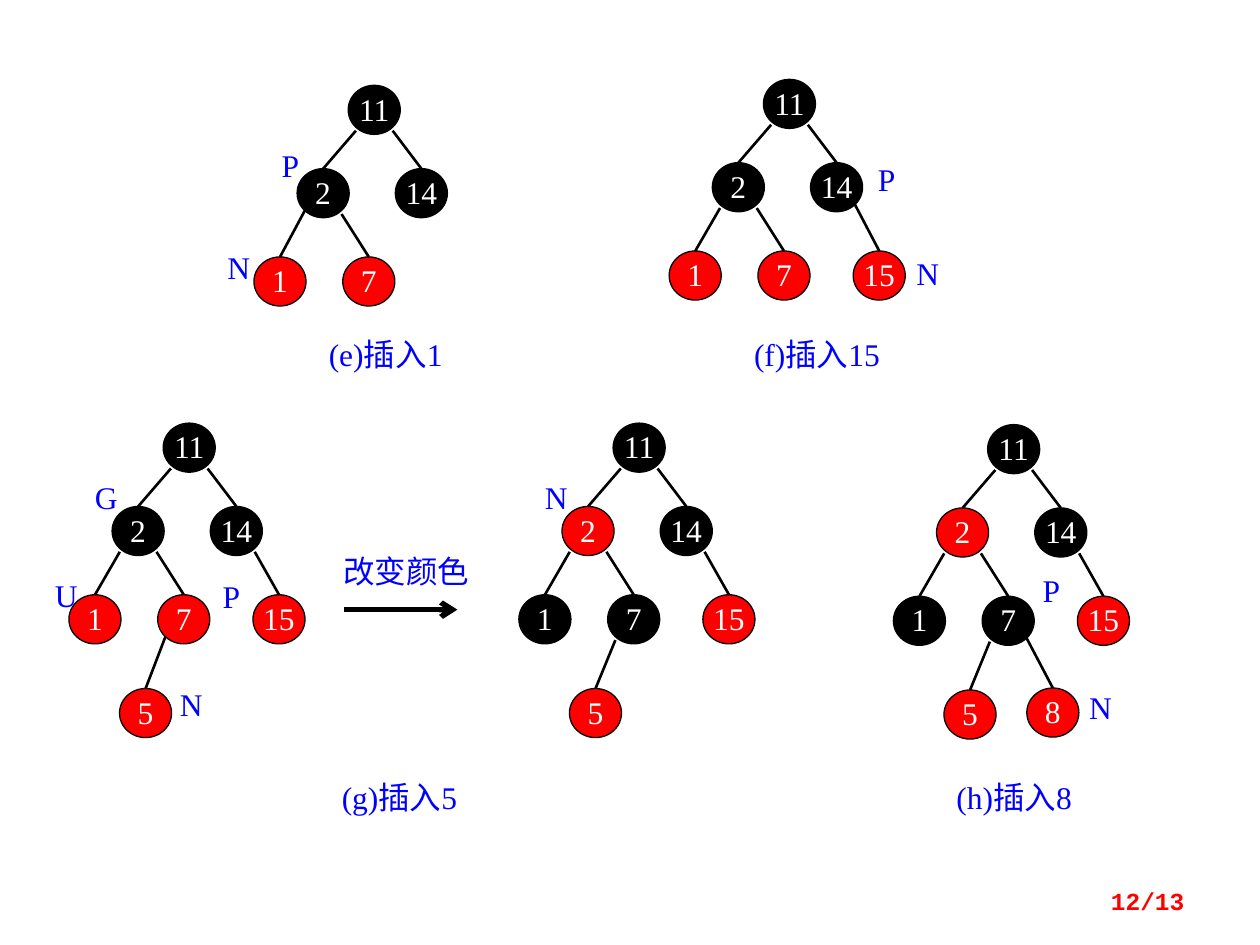
from pptx import Presentation
from pptx import util as u
from pptx.dml.color import RGBColor
from pptx.enum import shapes, text
from pptx.oxml import parse_xml
from pptx.oxml.ns import nsdecls

Cm, Pt = u.Cm, u.Pt

THEME = {
    "black": "000000", "red": "FF0000", "white": "FFFFFF", "blue": "0000FF",
    "face": "Times New Roman", "mono": "Courier New",
    "size": 18, "small": 14, "lead": 20,
    "rim": 0.75, "edge": 1.5, "arrow": 3,
}

# Places and sizes are in centimetres.
NODE_W, NODE_H = 1.05, 0.99
FOOT_X, FOOT_Y = 0.37, 0.42   # where an edge leaves its parent, from the centre
LIFT = 0.07                   # the edge to the new node leaves this much higher

# key: (parent, left and top from the root's corner)
SPOTS = {
    11: (None, 0, 0),
    14: (11, 0.95, 1.68),
    2: (11, -1.03, 1.68),
    7: (2, -0.11, 3.46),
    1: (2, -1.9, 3.46),
    15: (14, 1.81, 3.46),
    5: (7, -0.88, 5.35),
    8: (7, 0.79, 5.31),
}

# root's left and top, keys, red keys, newly inserted key
TREES = [
    (7.02, 1.72, [11, 14, 2, 7, 1], {7, 1}, 1),
    (15.39, 1.6, [11, 14, 2, 7, 1, 15], {7, 1, 15}, 15),
    (3.29, 8.53, [11, 14, 2, 7, 1, 15, 5], {7, 1, 15, 5}, 5),
    (12.36, 8.53, [11, 14, 2, 7, 1, 15, 5], {2, 15, 5}, None),
    (19.91, 8.56, [11, 14, 2, 7, 1, 15, 5, 8], {2, 15, 5, 8}, 8),
]

# text, left, top, width
CAPTIONS = [
    ("(e)插入1", 6.53, 6.81, 2.49),
    ("(f)插入15", 14.88, 6.81, 3.18),
    ("(g)插入5", 6.81, 15.75, 2.49),
    ("(h)插入8", 19.2, 15.75, 2.49),
    ("改变颜色", 6.86, 11.18, 2.67),
]
MARK_W, LINE_H = 0.69, 0.71
MARKS = [
    ("P", 5.51, 3), ("N", 4.47, 5.05),
    ("P", 17.53, 3.28), ("N", 18.36, 5.18),
    ("G", 1.8, 9.7), ("U", 0.99, 11.66), ("P", 4.32, 11.68), ("N", 3.51, 13.87),
    ("N", 10.87, 9.7),
    ("P", 20.85, 11.56), ("N", 21.84, 13.92),
]
ARROW = (6.93, 12.29, 9.22, 12.29)
PAGE = ("12/13", 18.21, 17.65, 5.92, 1.02)


def tint(name):
    return RGBColor.from_string(THEME[name])


def apply(obj, vals):
    for key, val in vals.items():
        setattr(obj, key, val)


def write(shape, words, hue, frame, para, font):
    body = shape.text_frame
    apply(body, {"word_wrap": True, **frame})
    line = body.paragraphs[0]
    apply(line, para)
    run = line.add_run()
    run.text = words
    apply(run.font, font)
    run.font.color.rgb = tint(hue)


FLUSH = {"margin_" + side: 0 for side in ("left", "top", "right", "bottom")}
MID = text.MSO_ANCHOR.MIDDLE
TOP = text.MSO_ANCHOR.TOP
CENTRED = {"alignment": text.PP_ALIGN.CENTER, "line_spacing": Pt(THEME["lead"])}
FONT = {"name": THEME["face"], "size": Pt(THEME["size"])}


def label(slide, words, x, y, w):
    box = slide.shapes.add_textbox(Cm(x), Cm(y), Cm(w), Cm(LINE_H))
    write(box, words, "blue", {**FLUSH, "vertical_anchor": TOP}, CENTRED, FONT)


def node(slide, key, x, y, hue):
    oval = slide.shapes.add_shape(
        shapes.MSO_SHAPE.OVAL, Cm(x), Cm(y), Cm(NODE_W), Cm(NODE_H))
    oval.shadow.inherit = False
    oval.fill.solid()
    oval.fill.fore_color.rgb = tint(hue)
    oval.line.color.rgb = tint("black")
    oval.line.width = Pt(THEME["rim"])
    write(oval, str(key), "white", {**FLUSH, "vertical_anchor": MID}, CENTRED, FONT)


def stroke(slide, ends, width):
    line = slide.shapes.add_connector(
        shapes.MSO_CONNECTOR.STRAIGHT, *[Cm(end) for end in ends])
    line.line.color.rgb = tint("black")
    line.line.width = Pt(THEME[width])
    line._element.spPr.append(parse_xml(f"<a:effectLst {nsdecls('a')}/>"))
    return line


def tree(slide, left, top, keys, reds, new):
    for key in keys:
        up, dx, dy = SPOTS[key]
        node(slide, key, left + dx, top + dy, "red" if key in reds else "black")
        if up is None:
            continue
        _, px, py = SPOTS[up]
        side = FOOT_X if dx > px else -FOOT_X
        drop = FOOT_Y - (LIFT if key == new else 0)
        half = left + NODE_W / 2
        stroke(slide, (half + px + side, top + py + NODE_H / 2 + drop,
                       half + dx, top + dy), "edge")


def main():
    deck = Presentation()
    apply(deck, {"slide_width": Cm(25.4), "slide_height": Cm(19.05)})
    slide = deck.slides.add_slide(deck.slide_layouts[6])

    for item in TREES:
        tree(slide, *item)
    for item in CAPTIONS:
        label(slide, *item)
    for item in MARKS:
        label(slide, *item, MARK_W)

    arrow = stroke(slide, ARROW, "arrow")
    arrow.line._get_or_add_ln().append(
        parse_xml(f'<a:tailEnd {nsdecls("a")} type="arrow"/>'))

    words, *place = PAGE
    box = slide.shapes.add_textbox(*[Cm(part) for part in place])
    write(box, words, "red", {"vertical_anchor": MID},
          {"alignment": text.PP_ALIGN.RIGHT},
          {"name": THEME["mono"], "size": Pt(THEME["small"]), "bold": True})

    deck.save("out.pptx")


if __name__ == "__main__":
    main()
